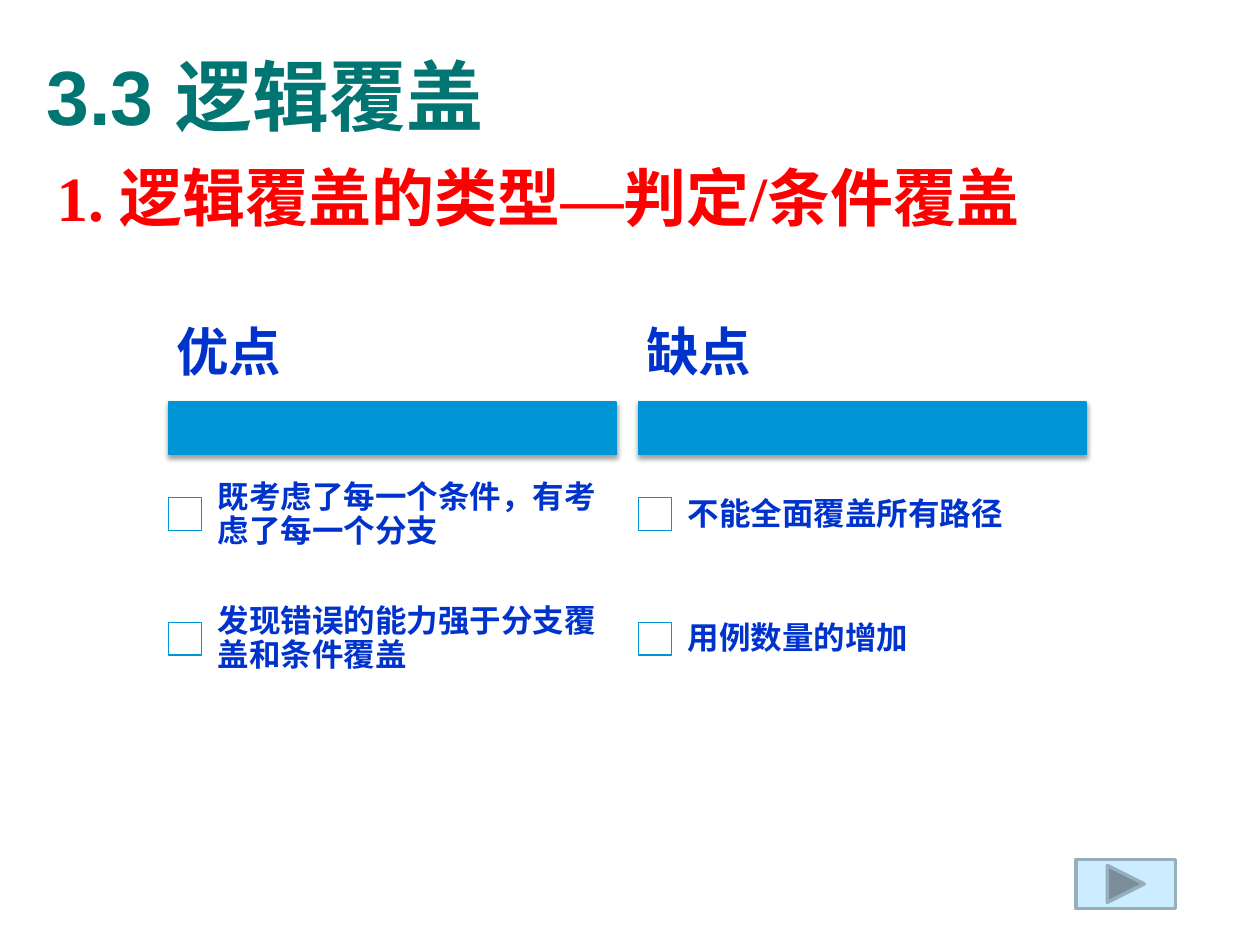
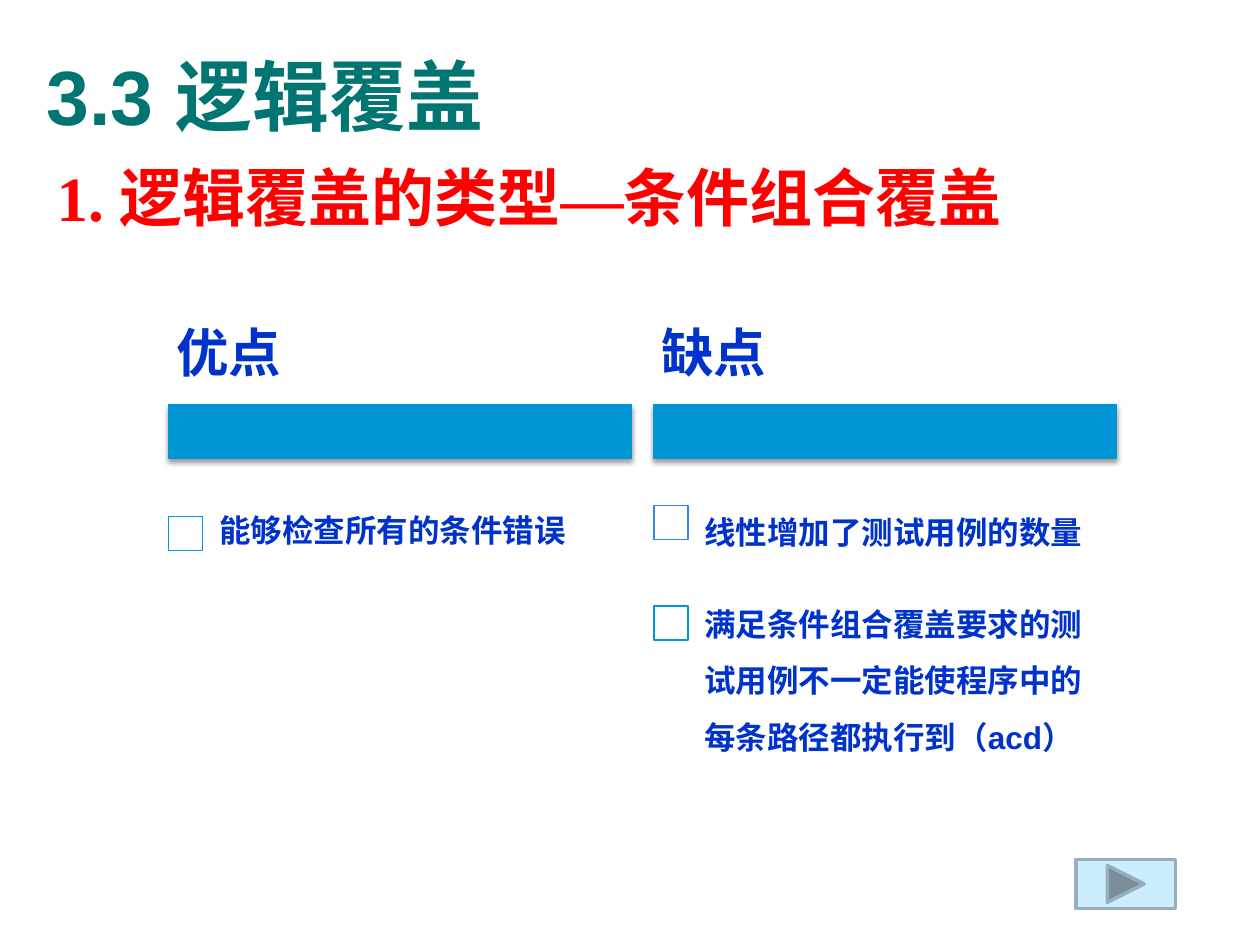
from lxml import etree
from pptx import Presentation
from pptx.dml.color import RGBColor
from pptx.enum.shapes import MSO_SHAPE as SHAPE
from pptx.enum.text import MSO_ANCHOR as ANCHOR, PP_ALIGN as ALIGN
from pptx.oxml import parse_xml
from pptx.oxml.ns import nsdecls, qn
from pptx.util import Pt

PX = 9144  # 100 px to the inch
TEAL, RED, NAVY, BLUE = "007572", "FF0000", "0033CC", "0096D6"
SANS, SERIF = "Arial", "Times New Roman"
SHADE = f"""<a:effectLst {nsdecls("a")}>
  <a:outerShdw blurRad="39370" dist="20320" dir="5400000" rotWithShape="0">
    <a:srgbClr val="000000"><a:alpha val="38000"/></a:srgbClr>
  </a:outerShdw></a:effectLst>"""


def block(slide, kind, area, fill, line, width=0.75):
    shape = slide.shapes.add_shape(kind, *[n * PX for n in area])
    shape.shadow.inherit = False
    shape.fill.solid()
    shape.fill.fore_color.rgb = RGBColor.from_string(fill)
    shape.line.color.rgb = RGBColor.from_string(line)
    shape.line.width = Pt(width)
    return shape


def write(shape, area, runs, size, color, pads=(10, 5), anchor=ANCHOR.MIDDLE):
    shape.left, shape.top, shape.width, shape.height = [n * PX for n in area]
    frame = shape.text_frame
    frame.word_wrap = True
    frame.vertical_anchor = anchor
    frame.margin_left = frame.margin_right = pads[0] * PX
    frame.margin_top = frame.margin_bottom = pads[1] * PX
    para = frame.paragraphs[0]
    para.alignment = ALIGN.LEFT
    for words, face in runs:
        run = para.add_run()
        run.text = words
        font = run.font
        font.size, font.bold, font.name = Pt(size), True, face
        font.color.rgb = RGBColor.from_string(color)
        # East Asian letters take the same face
        etree.SubElement(run._r.get_or_add_rPr(), qn("a:ea"), typeface=face)
    return para


# Each page: topic, bar (top, height, width), tick size, columns
# Each column: left, heading, items (tick top, text top, spacing, line, words)
pages = [
    ([("判定", SANS), ("/", SERIF), ("条件覆盖", SANS)],
     (319, 42, 355), 26, [
        (134, "优点", [
            (395, 378, 0.9, BLUE, "既考虑了每一个条件，有考虑了每一个分支"),
            (494, 476, 0.9, BLUE, "发现错误的能力强于分支覆盖和条件覆盖")]),
        (507, "缺点", [
            (395, 378, 0.9, BLUE, "不能全面覆盖所有路径"),
            (494, 476, 0.9, BLUE, "用例数量的增加")])]),
    ([("条件组合覆盖", SANS)],
     (321, 43, 367), 27, [
        (134, "优点", [
            (410, 391, 0.9, BLUE, "能够检查所有的条件错误")]),
        (519, "缺点", [
            (401, 383, 1.5, "2D89E5", "线性增加了测试用例的数量"),
            (481, 501, 1.5, BLUE,
             "满足条件组合覆盖要求的测试用例不一定能使程序中的每条路径都执行到（acd）")])]),
]

deck = Presentation()
deck.slide_width, deck.slide_height = 1000 * PX, 750 * PX

for topic, (top, high, wide), tick, columns in pages:
    slide = deck.slides.add_slide(deck.slide_layouts[5])

    # Title and topic line
    write(slide.shapes.title, (27, 13, 934, 125), [("3.3 逻辑覆盖", SANS)], 44, TEAL)
    lead = [("1. ", SERIF), ("逻辑覆盖的类型", SANS), ("—", SERIF)]
    para = write(slide.shapes.add_textbox(0, 0, 0, 0), (35, 115, 921, 606),
                 lead + topic, 36, RED, anchor=ANCHOR.TOP)
    para.alignment = ALIGN.JUSTIFY
    para.line_spacing = 1.1
    para.space_before = para.space_after = Pt(1.8)
    props = para._p.get_or_add_pPr()
    props.set("marL", str(67 * PX))
    props.set("indent", str(-67 * PX))

    # Columns: bar, heading, ticked items
    for left, head, items in columns:
        bar = block(slide, SHAPE.RECTANGLE, (left, top, wide, high), BLUE, BLUE)
        props = bar._element.spPr
        props.replace(props.find(qn("a:effectLst")), parse_xml(SHADE))
        para = write(slide.shapes.add_textbox(0, 0, 0, 0),
                     (left, 244, wide, top - 244), [(head, SANS)], 30, NAVY, (6, 4))
        para.line_spacing = 0.9
        para.space_after = Pt(10.5)

        for y, row, gap, line, words in items:
            block(slide, SHAPE.RECTANGLE, (left, y, tick, tick), "FFFFFF", line)
            area = (left + tick - 1, row, wide - tick + 1, tick + 36)
            para = write(slide.shapes.add_textbox(0, 0, 0, 0), area,
                         [(words, SANS)], 18, NAVY, (14, 14))
            para.line_spacing = gap
            para.space_after = Pt(6.3)

    # Next button
    block(slide, SHAPE.ACTION_BUTTON_FORWARD_OR_NEXT, (854, 682, 79, 39),
          "CCECFF", "97AFBD", 2)

deck.save("out.pptx")
